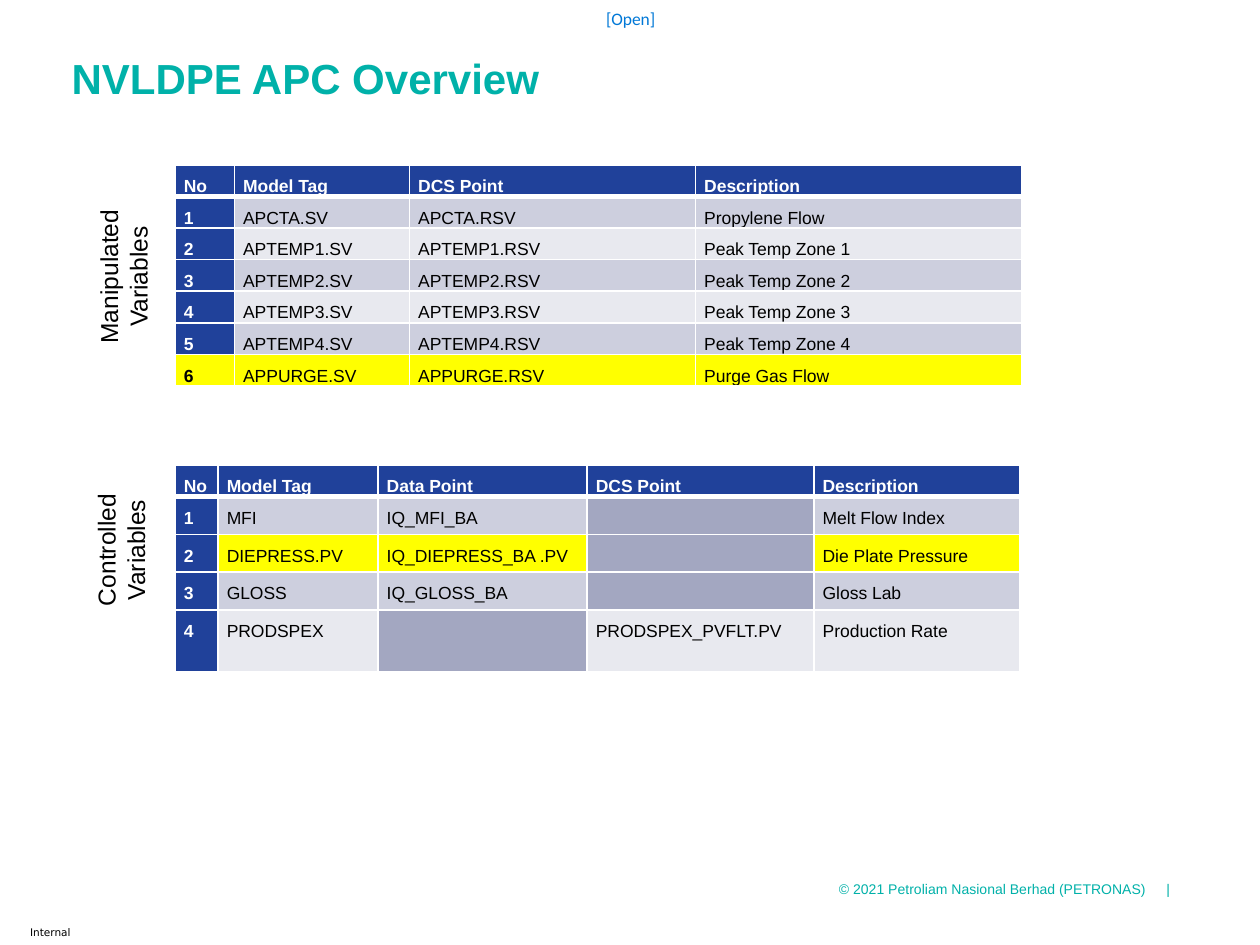
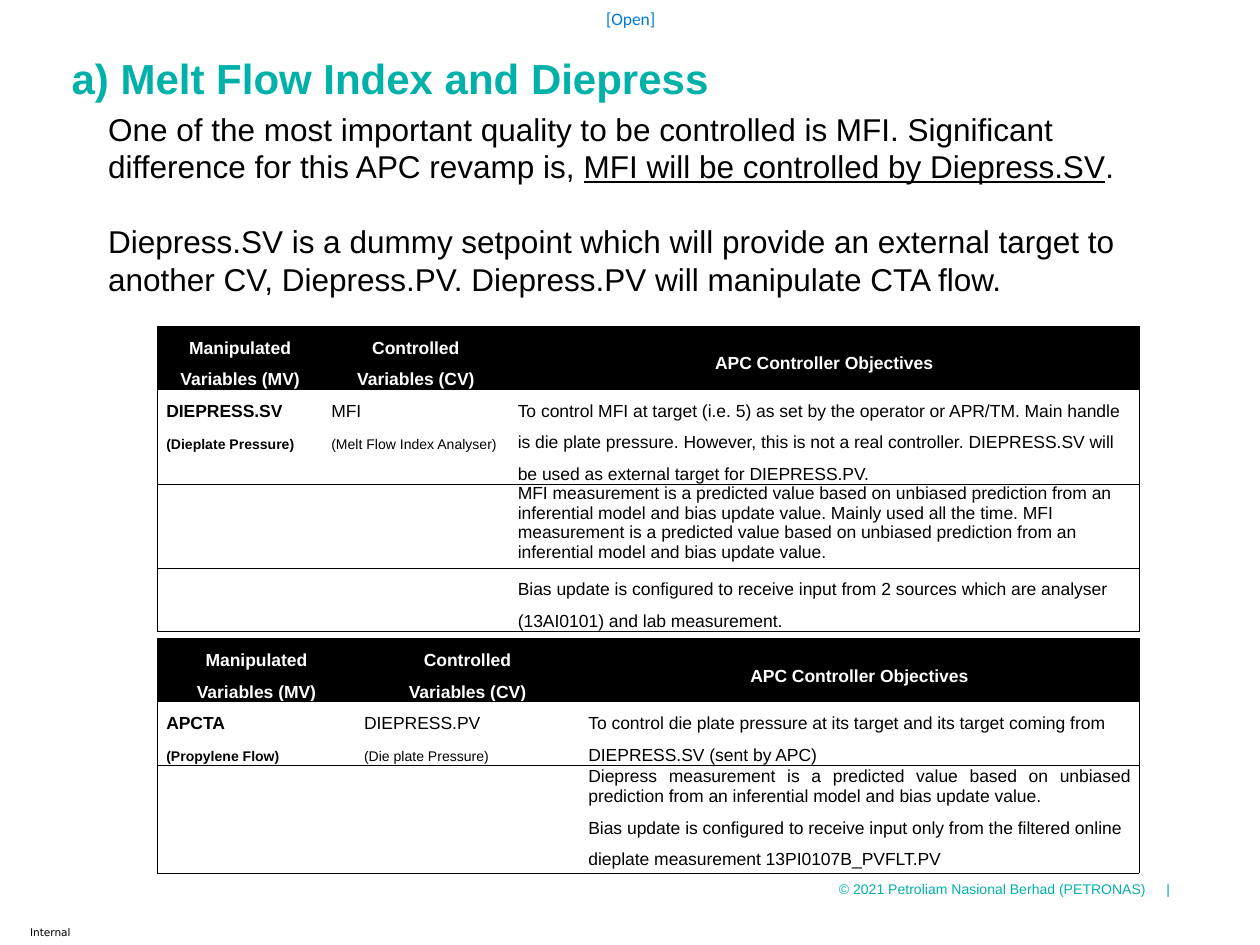
from lxml import etree
from pptx import Presentation
from pptx.dml.color import RGBColor
from pptx.enum.text import MSO_ANCHOR, PP_ALIGN
from pptx.oxml.ns import qn
from pptx.util import Inches, Pt

LEFT, CENTER, JUSTIFY = PP_ALIGN.LEFT, PP_ALIGN.CENTER, PP_ALIGN.JUSTIFY
TOP, MIDDLE = MSO_ANCHOR.TOP, MSO_ANCHOR.MIDDLE

TEAL = RGBColor(0x00, 0xB1, 0xA9)
LABEL_BLUE = RGBColor(0x00, 0x78, 0xD7)
NAVY = RGBColor(0x20, 0x41, 0x9A)
BAND_DARK = RGBColor(0xCD, 0xCF, 0xDE)
BAND_LIGHT = RGBColor(0xE8, 0xE9, 0xEF)
EMPTY_GREY = RGBColor(0xA3, 0xA7, 0xC1)
YELLOW = RGBColor(0xFF, 0xFF, 0x00)
BLACK = RGBColor(0x00, 0x00, 0x00)
WHITE = RGBColor(0xFF, 0xFF, 0xFF)

FONT = "Arial"
CELL_LINE = Pt(18)

MANIPULATED_ROWS = [
    ("No", "Model Tag", "DCS Point", "Description"),
    ("1", "APCTA.SV", "APCTA.RSV", "Propylene Flow"),
    *[(str(zone + 1), f"APTEMP{zone}.SV", f"APTEMP{zone}.RSV", f"Peak Temp Zone {zone}")
      for zone in range(1, 5)],
    ("6", "APPURGE.SV", "APPURGE.RSV", "Purge Gas Flow"),
]
CONTROLLED_ROWS = [
    ("No", "Model Tag", "Data Point", "DCS Point", "Description"),
    ("1", "MFI", "IQ_MFI_BA", "", "Melt Flow Index"),
    ("2", "DIEPRESS.PV", "IQ_DIEPRESS_BA .PV", "", "Die Plate Pressure"),
    ("3", "GLOSS", "IQ_GLOSS_BA", "", "Gloss Lab"),
    ("4", "PRODSPEX", "", "PRODSPEX_PVFLT.PV", "Production Rate"),
]
OBJECTIVE_HEADER = ("Manipulated\vVariables (MV)", "Controlled\vVariables (CV)",
                    "APC Controller Objectives")
MFI_ROWS = [
    OBJECTIVE_HEADER,
    ("DIEPRESS.SV\v(Dieplate Pressure)", "MFI\v(Melt Flow Index Analyser)",
     "To control MFI at target (i.e. 5) as set by the operator or APR/TM. Main handle is die "
     "plate pressure. However, this is not a real controller. DIEPRESS.SV will be used as "
     "external target for DIEPRESS.PV."),
    ("", "",
     "MFI measurement is a predicted value based on unbiased prediction from an inferential "
     "model and bias update value. Mainly used all the time. MFI measurement is a predicted "
     "value based on unbiased prediction from an inferential model and bias update value."),
    ("", "", "Bias update is configured to receive input from 2 sources which are analyser "
             "(13AI0101) and lab measurement."),
]
DIEPRESS_ROWS = [
    OBJECTIVE_HEADER,
    ("APCTA\v(Propylene Flow)", "DIEPRESS.PV\v(Die plate Pressure)",
     "To control die plate pressure at its target and its target coming from DIEPRESS.SV "
     "(sent by APC)"),
    ("", "",
     "Diepress measurement is a predicted value based on unbiased prediction from an "
     "inferential model and bias update value.\n"
     "Bias update is configured to receive input only from the filtered online dieplate "
     "measurement 13PI0107B_PVFLT.PV"),
]


def format_runs(paragraph, size, color, bold=False, font=FONT):
    for run in paragraph.runs:
        run.font.name = font
        run.font.size = Pt(size)
        run.font.bold = bold
        run.font.color.rgb = color


def add_text(slide, box, text, size, color, bold=False, font=FONT, align=LEFT, wrap=True):
    shape = slide.shapes.add_textbox(*map(Inches, box))
    frame = shape.text_frame
    frame.word_wrap = wrap
    frame.text = text
    for paragraph in frame.paragraphs:
        paragraph.alignment = align
        format_runs(paragraph, size, color, bold, font)
    return shape


def set_borders(cell, **widths):
    """Draw the named sides as (colour, points), and clear the other sides."""
    properties = cell._tc.get_or_add_tcPr()
    for side in ("L", "R", "T", "B"):
        color, points = widths.get(side, (None, 0))
        line = etree.SubElement(properties, qn(f"a:ln{side}"), w=str(Pt(points)))
        if color is None:
            etree.SubElement(line, qn("a:noFill"))
        else:
            fill = etree.SubElement(line, qn("a:solidFill"))
            etree.SubElement(fill, qn("a:srgbClr"), val=str(color))


def add_grid(slide, left, top, widths, heights, rows):
    """Add a plain table and fill in its text; colours are up to the caller."""
    table = slide.shapes.add_table(
        len(rows), len(widths), Inches(left), Inches(top),
        Inches(sum(widths)), Inches(sum(heights))).table
    table.first_row = table.horz_banding = False
    for column, width in zip(table.columns, widths):
        column.width = Inches(width)
    for row, height in zip(table.rows, heights):
        row.height = Inches(height)
    for row, texts in zip(table.rows, rows):
        for cell, text in zip(row.cells, texts):
            cell.margin_left = cell.margin_right = Inches(0.07)
            cell.margin_top = cell.margin_bottom = 0
            cell.text_frame.text = text
            for paragraph in cell.text_frame.paragraphs:
                paragraph.line_spacing = CELL_LINE
    return table


def add_variable_table(slide, top, widths, heights, rows, highlighted):
    """Banded tag list; the set of (row, column) cells in highlighted is yellow."""
    table = add_grid(slide, 1.39, top, widths, heights, rows)
    thin, thick = (WHITE, 1), (WHITE, 3)
    for row, texts in enumerate(rows):
        for column, text in enumerate(texts):
            cell = table.cell(row, column)
            if (row, column) in highlighted:
                fill = YELLOW
            elif row == 0 or column == 0:
                fill = NAVY
            elif not text:
                fill = EMPTY_GREY
            else:
                fill = BAND_DARK if row % 2 else BAND_LIGHT
            set_borders(cell, L=thin, R=thin, T=thick if row == 1 else thin,
                        B=thick if row == 0 else thin)
            cell.fill.solid()
            cell.fill.fore_color.rgb = fill
            paragraph = cell.text_frame.paragraphs[0]
            paragraph.alignment = JUSTIFY
            format_runs(paragraph, 10, WHITE if fill == NAVY else BLACK,
                        bold=row == 0 or column == 0)


def add_objective_table(slide, top, widths, heights, rows):
    """Black header over rows ruled only across and around the outside."""
    table = add_grid(slide, 1.25, top, widths, heights, rows)
    rule = (BLACK, 0.5)
    last_column = len(widths) - 1
    for row in range(len(rows)):
        for column in range(len(widths)):
            cell = table.cell(row, column)
            header = row == 0
            sides = {"T": rule, "B": rule}
            if column == 0:
                sides["L"] = rule
            if column == last_column:
                sides["R"] = rule
            set_borders(cell, **sides)
            cell.fill.solid()
            cell.fill.fore_color.rgb = BLACK if header else WHITE
            cell.vertical_anchor = MIDDLE if header else TOP
            for paragraph in cell.text_frame.paragraphs:
                paragraph.alignment = CENTER if header else LEFT
                format_runs(paragraph, 10, WHITE if header else BLACK,
                            bold=header or column == 0)
                if not header:
                    for run in paragraph.runs[1:]:
                        run.font.size = Pt(8)
    return table


def add_side_label(slide, left, top, text):
    label = add_text(slide, (left, top, 2.06, 0.57), text, 14, BLACK, align=CENTER)
    label.rotation = 270


def add_copyright(slide):
    shape = add_text(slide, (6.56, 6.94, 2.9, 0.24),
                     "© 2021 Petroliam Nasional Berhad (PETRONAS)\t|", 8, TEAL)
    properties = shape.text_frame.paragraphs[0]._p.get_or_add_pPr()
    tabs = etree.SubElement(properties, qn("a:tabLst"))
    etree.SubElement(tabs, qn("a:tab"), pos=str(Inches(2.6)), algn="l")


def add_base_slide(presentation, title):
    """Add a blank slide with the shared label, footers and title."""
    slide = presentation.slides.add_slide(presentation.slide_layouts[6])
    label = add_text(slide, (4.66, 0, 0.69, 0.29), "[Open]", 10, LABEL_BLUE,
                     font="Calibri", align=CENTER)
    frame = label.text_frame
    frame.margin_left = frame.margin_right = frame.margin_top = frame.margin_bottom = 0
    frame.vertical_anchor = MIDDLE
    add_copyright(slide)
    heading = add_text(slide, (0.47, 0.41, 9.06, 0.81), title, 24, TEAL, bold=True)
    heading.text_frame.paragraphs[0].line_spacing = 0.9
    add_text(slide, (0.14, 7.3, 0.54, 0.2), "Internal", 6, BLACK,
             font="DejaVu Sans", wrap=False)
    return slide


def add_introduction(slide, box):
    shape = add_text(
        slide, box,
        "One of the most important quality to be controlled is MFI. Significant difference "
        "for this APC revamp is, \n"
        "Diepress.SV is a dummy setpoint which will provide an external target to another CV, "
        "Diepress.PV. Diepress.PV will manipulate CTA flow.", 18, BLACK)
    first, second = shape.text_frame.paragraphs
    emphasis = first.add_run()
    emphasis.text = "MFI will be controlled by Diepress.SV"
    emphasis.font.underline = True
    first.add_run().text = "."
    format_runs(first, 18, BLACK)
    second.space_before = Pt(21)


def build_overview(presentation):
    slide = add_base_slide(presentation, "NVLDPE APC Overview")
    add_variable_table(slide, 1.31, [0.47, 1.39, 2.27, 2.59], [0.25] * 7, MANIPULATED_ROWS,
                       {(6, column) for column in range(4)})
    add_variable_table(slide, 3.69, [0.34, 1.27, 1.66, 1.8, 1.63], [0.25] * 4 + [0.49],
                       CONTROLLED_ROWS, {(2, 1), (2, 2), (2, 4)})
    add_side_label(slide, -0.05, 1.91, "Manipulated\nVariables")
    add_side_label(slide, -0.07, 4.08, "Controlled\nVariables")


def build_melt_flow(presentation):
    slide = add_base_slide(presentation, "a) Melt Flow Index and Diepress")
    mfi_table = add_objective_table(slide, 2.59, [1.31, 1.48, 5], [0.5, 0.75, 0.62, 0.5],
                                    MFI_ROWS)
    mfi_table.cell(2, 2).text_frame.paragraphs[0].line_spacing = 1.0
    diepress_table = add_objective_table(slide, 5.07, [1.57, 1.78, 4.44], [0.5, 0.5, 0.83],
                                         DIEPRESS_ROWS)
    measurement = diepress_table.cell(2, 2).text_frame.paragraphs[0]
    measurement.alignment = JUSTIFY
    measurement.line_spacing = 1.07
    add_introduction(slide, (0.76, 0.82, 8.77, 1.62))


def main():
    presentation = Presentation()
    presentation.slide_width = Inches(10)
    presentation.slide_height = Inches(7.5)
    build_overview(presentation)
    build_melt_flow(presentation)
    presentation.save("out.pptx")


if __name__ == "__main__":
    main()
